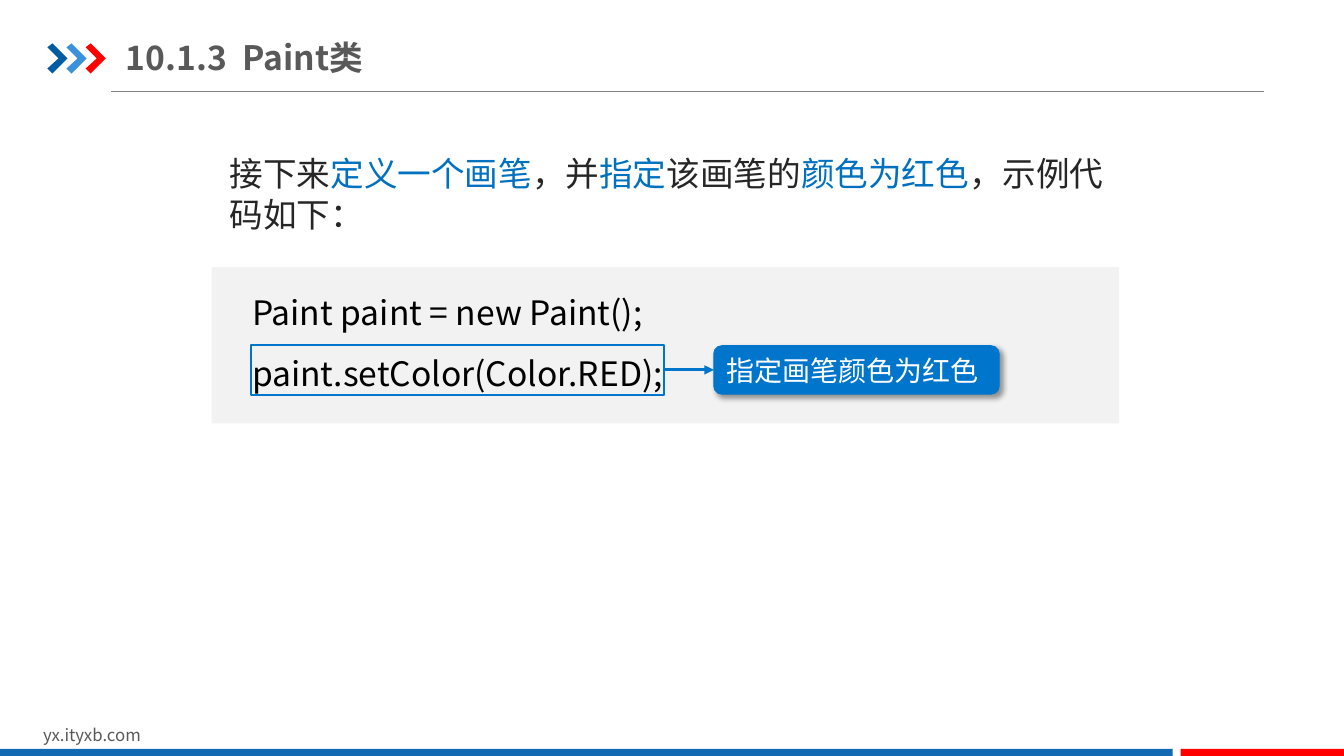
"""Build the slide that introduces the Paint class."""
from lxml.etree import SubElement
from pptx import Presentation
from pptx.dml.color import RGBColor
from pptx.enum.shapes import MSO_CONNECTOR, MSO_SHAPE
from pptx.enum.text import MSO_ANCHOR, PP_ALIGN
from pptx.oxml import parse_xml
from pptx.oxml.ns import nsdecls, qn
from pptx.util import Pt

PX = 9144
FONT = "Noto Sans CJK SC"
COLORS = {
    "navy": "005DA2", "sky": "3992DB", "red": "FF0000", "bar": "1369B2",
    "rule": "808080", "gray": "595959", "ink": "262626", "accent": "0070C0",
    "panel": "F2F2F2", "blue": "0075CC", "black": "000000", "white": "FFFFFF",
}


def write(box, text, size=24, color="ink", accent="accent", bold=False, spacing=1.0,
          anchor=MSO_ANCHOR.TOP, margins=(10, 5, 10, 5)):
    frame = box.text_frame
    frame.word_wrap = True
    frame.vertical_anchor = anchor
    frame.margin_left, frame.margin_top, frame.margin_right, frame.margin_bottom = (
        margin * PX for margin in margins)
    for number, line in enumerate(text.split("\n")):
        para = frame.add_paragraph() if number else frame.paragraphs[0]
        para.alignment = PP_ALIGN.LEFT
        para.line_spacing = spacing
        for index, part in enumerate(line.split("|")):
            span = para.add_run()
            span.text = part
            span.font.name = FONT
            span.font.size = Pt(size)
            span.font.bold = bold
            span.font.color.rgb = RGBColor.from_string(COLORS[accent if index % 2 else color])
            SubElement(span._r.get_or_add_rPr(), qn("a:ea"), typeface=FONT)


def paint(shape, fill=None, line=None, width=1):
    shape.shadow.inherit = False
    if fill:
        shape.fill.solid()
        shape.fill.fore_color.rgb = RGBColor.from_string(COLORS[fill])
    else:
        shape.fill.background()
    if line:
        shape.line.color.rgb = RGBColor.from_string(COLORS[line])
        shape.line.width = Pt(width)
    else:
        shape.line.fill.background()


deck = Presentation()
deck.slide_width, deck.slide_height = 1333 * PX, 750 * PX
page = deck.slides.add_slide(deck.slide_layouts[6])
shapes = page.shapes

header_rule = shapes.add_connector(MSO_CONNECTOR.STRAIGHT, 110 * PX, 91 * PX, 1254 * PX, 91 * PX)

chevron = [(0, 4), (5, 0), (20, 15), (5, 30), (0, 25), (11, 15)]
for index, color in enumerate(["navy", "sky", "red"]):
    points = [(47 + 19 * index + x, 43 + y) for x, y in chevron]
    outline = shapes.build_freeform(*points[0], scale=PX)
    outline.add_line_segments(points[1:], close=True)
    paint(outline.convert_to_shape(), fill=color)

site = shapes.add_textbox(33 * PX, 714 * PX, 318 * PX, 30 * PX)
write(site, "yx.ityxb.com", size=12, color="gray")

for left, width, color in [(0, 1163, "bar"), (1171, 162, "red")]:
    bar = shapes.add_shape(MSO_SHAPE.RECTANGLE, left * PX, 743 * PX, width * PX, 7 * PX)
    paint(bar, fill=color)

title = shapes.add_textbox(125 * PX, 29 * PX, 426 * PX, 55 * PX)
write(title, "10.1.3  Paint类", color="gray", bold=True,
      anchor=MSO_ANCHOR.MIDDLE, margins=(0, 7, 0, 7))

panel = shapes.add_shape(MSO_SHAPE.RECTANGLE, 210 * PX, 265 * PX, 900 * PX, 155 * PX)
paint(panel, fill="panel")
write(panel, "Paint paint = new Paint();\npaint.setColor(Color.RED);",
      color="black", spacing=1.5, margins=(40, 5, 10, 5))

highlight = shapes.add_shape(MSO_SHAPE.RECTANGLE, 249 * PX, 342 * PX, 410 * PX, 50 * PX)
paint(highlight, line="blue", width=1.5)

callout = shapes.add_shape(MSO_SHAPE.ROUNDED_RECTANGLE, 708 * PX, 343 * PX, 283 * PX, 48 * PX)
paint(callout, fill="blue", line="blue", width=0.75)
write(callout, "指定画笔颜色为红色", size=20, color="white", anchor=MSO_ANCHOR.MIDDLE)
effects = callout._element.spPr.find(qn("a:effectLst"))
effects.append(parse_xml(
    f'<a:outerShdw {nsdecls("a")} blurRad="{Pt(4)}" dist="{Pt(3)}" dir="2700000" '
    f'algn="tl" rotWithShape="0"><a:srgbClr val="{COLORS["black"]}">'
    '<a:alpha val="40000"/></a:srgbClr></a:outerShdw>'))

arrow = shapes.add_connector(MSO_CONNECTOR.STRAIGHT, 659 * PX, 367 * PX, 708 * PX, 367 * PX)
arrow.begin_connect(highlight, 3)
arrow.end_connect(callout, 1)

for connector, color, width in [(header_rule, "rule", 0.75), (arrow, "blue", 2.25)]:
    connector.line.color.rgb = RGBColor.from_string(COLORS[color])
    connector.line.width = Pt(width)
    SubElement(connector._element.spPr, qn("a:effectLst"))
SubElement(arrow.line._get_or_add_ln(), qn("a:tailEnd"), type="triangle")

intro = shapes.add_textbox(218 * PX, 147 * PX, 892 * PX, 91 * PX)
write(intro, "接下来|定义一个画笔|，并|指定|该画笔的|颜色为红色|，示例代码如下：")

deck.save("out.pptx")
